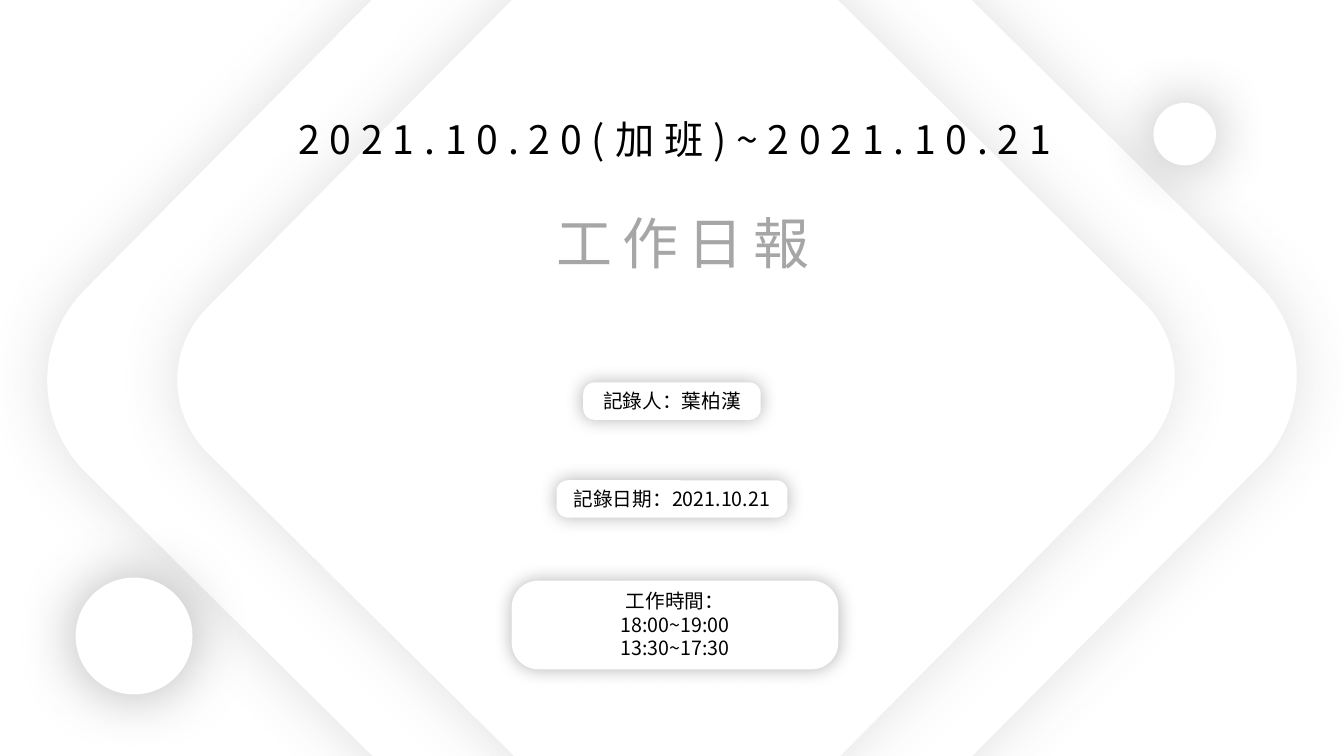
from pptx import Presentation
from pptx.util import Inches, Pt
from pptx.dml.color import RGBColor
from pptx.enum.shapes import MSO_SHAPE as Kind
from pptx.enum.text import PP_ALIGN as Align, MSO_ANCHOR as Anchor, MSO_AUTO_SIZE as Fit
from pptx.oxml import parse_xml
from pptx.oxml.ns import nsdecls, qn

WHITE = RGBColor(0xFF, 0xFF, 0xFF)
BLACK = RGBColor(0, 0, 0)
SLATE = RGBColor(0x59, 0x59, 0x59)
GREY = RGBColor(0xA6, 0xA6, 0xA6)
FONT = "Noto Sans CJK SC"
WIDE, HIGH = 13.33, 7.5
MID = WIDE / 2

deck = Presentation()
deck.slide_width, deck.slide_height = Inches(WIDE), Inches(HIGH)
slide = deck.slides.add_slide(deck.slide_layouts[5])
slide.background.fill.solid()
slide.background.fill.fore_color.rgb = WHITE


def plate(home, kind, x, y, w, h, shade, alpha, blur):
    """White shape centred on x, y with a soft shadow all round."""
    shape = home.add_shape(kind, Inches(x - w / 2), Inches(y - h / 2), Inches(w), Inches(h))
    shape.fill.solid()
    shape.fill.fore_color.rgb = WHITE
    shape.line.fill.background()
    shape.shadow.inherit = False
    glow = parse_xml(
        f'<a:outerShdw {nsdecls("a")} blurRad="{Pt(blur)}" dist="0" dir="0" algn="ctr" rotWithShape="0">'
        f'<a:srgbClr val="{shade}"><a:alpha val="{alpha * 1000}"/></a:srgbClr></a:outerShdw>')
    shape.element.spPr.find(qn("a:effectLst")).append(glow)
    return shape


def write(box, x, y, w, h, lines, size, color=BLACK, gap=0):
    """Centre a box on x, y and fill it with centred lines."""
    box.left, box.top = Inches(x - w / 2), Inches(y - h / 2)
    box.width, box.height = Inches(w), Inches(h)
    frame = box.text_frame
    frame.word_wrap = True
    frame.auto_size = Fit.SHAPE_TO_FIT_TEXT
    frame.vertical_anchor = Anchor.TOP
    for i, line in enumerate(lines):
        para = frame.add_paragraph() if i else frame.paragraphs[0]
        para.alignment = Align.CENTER
        run = para.add_run()
        run.text = line
        run.font.size, run.font.name = Pt(size), FONT
        run.font.color.rgb = color
        props = run.font._element
        props.append(parse_xml(f'<a:ea {nsdecls("a")} typeface="{FONT}"/>'))
        if gap:
            props.set("spc", str(gap * 100))


# Nested diamonds
for x, side in ((MID, 9.51), (MID + 0.04, 7.59)):
    gem = plate(slide.shapes, Kind.ROUNDED_RECTANGLE, x, HIGH / 2, side, side, SLATE, 19, 43)
    gem.adjustments[0] = 0.134
    gem.rotation = 44.7

# Date range and title, brought in front of the diamonds
dates = slide.shapes.add_textbox(0, 0, 0, 0)
write(dates, MID + 0.03, 1.38, 8.07, 0.57, ["2021.10.20(加班)~2021.10.21"], 28, gap=7)
title = slide.shapes.title
slide.shapes.element.append(title.element)
write(title, MID + 0.11, 2.4, 4.75, 0.77, ["工作日報"], 40, GREY, gap=7)

# Corner discs
for x, y, size in ((1.33, 6.31, 1.16), (11.75, 1.33, 0.62)):
    plate(slide.shapes, Kind.OVAL, x, y, size, size, BLACK, 30, 43)

# Info cards: centre, card size, text size, lines
cards = [
    (MID, 3.98, 1.76, 0.37, 2.09, 0.34, ["記錄人：葉柏漢"]),
    (MID, 4.95, 2.29, 0.37, 2.41, 0.34, ["記錄日期：2021.10.21"]),
    (MID + 0.03, 6.2, 3.24, 0.88, 3.41, 0.81, ["工作時間：", "18:00~19:00", "13:30~17:30"]),
]
for x, y, w, h, tw, th, lines in cards:
    card = slide.shapes.add_group_shape().shapes
    plate(card, Kind.ROUNDED_RECTANGLE, x, y, w, h, BLACK, 30, 13).adjustments[0] = 0.302
    write(card.add_textbox(0, 0, 0, 0), x, y, tw, th, lines, 14)

# The groups take their extents from the final text positions
for group in slide.shapes:
    if hasattr(group, "shapes"):
        group.element.recalculate_extents()

deck.save("out.pptx")
